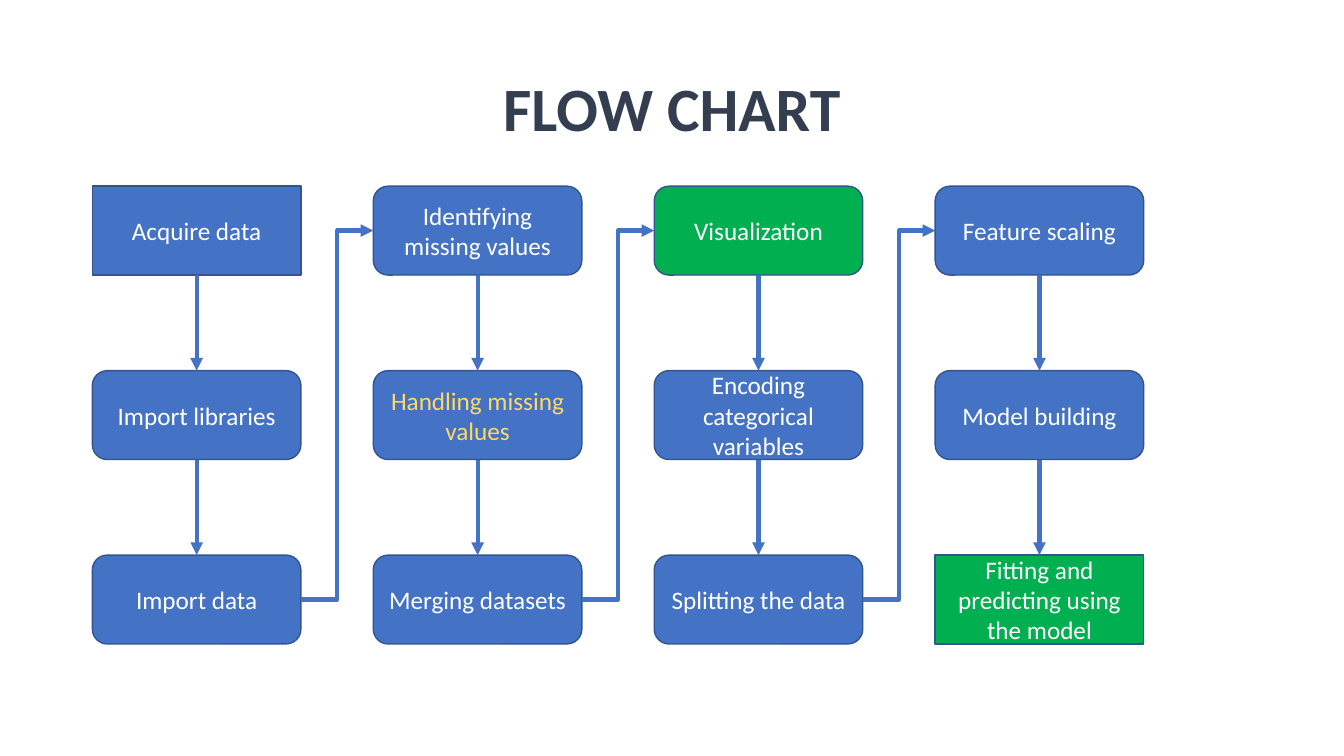
import dataclasses
import itertools

import lxml.etree
import pptx
import pptx.dml.color
import pptx.enum.shapes
import pptx.enum.text
import pptx.oxml.ns
import pptx.util

Pt = pptx.util.Pt
SHAPES = pptx.enum.shapes.MSO_SHAPE
CONNECTORS = pptx.enum.shapes.MSO_CONNECTOR
TOP_SITE, LEFT_SITE, BOTTOM_SITE, RIGHT_SITE = range(4)


@dataclasses.dataclass(frozen=True)
class Theme:
    """Colours, font and sizes in points."""
    font: str = "Calibri"
    heading: str = "333F50"
    step: str = "4472C4"
    milestone: str = "00B050"
    border: str = "325491"
    label: str = "FFFFFF"
    highlight: str = "FFD966"
    title_size: float = 44
    step_size: float = 18
    border_width: float = 1
    arrow_width: float = 3


@dataclasses.dataclass(frozen=True)
class Box:
    """A region in points."""
    left: float
    top: float
    width: float
    height: float

    def lengths(self):
        """Return the four values as slide lengths."""
        return [Pt(value) for value in dataclasses.astuple(self)]


THEME = Theme()
STAGES = [
    ["Acquire data", "Import libraries", "Import data"],
    ["Identifying missing values", "Handling missing values", "Merging datasets"],
    ["Visualization", "Encoding categorical variables", "Splitting the data"],
    ["Feature scaling", "Model building", "Fitting and predicting using the model"],
]
ENDPOINTS = {STAGES[0][0], STAGES[-1][-1]}
MILESTONES = {"Visualization", STAGES[-1][-1]}
HIGHLIGHTED = {"Handling missing values"}


def rgb(value):
    """Turn a hex string into a colour."""
    return pptx.dml.color.RGBColor.from_string(value)


def write(frame, words, size, color, bold=False):
    """Write one centred run into a text frame."""
    frame.word_wrap = True
    frame.vertical_anchor = pptx.enum.text.MSO_ANCHOR.MIDDLE
    paragraph = frame.paragraphs[0]
    paragraph.alignment = pptx.enum.text.PP_ALIGN.CENTER
    run = paragraph.add_run()
    run.text = words
    run.font.name = THEME.font
    run.font.size = Pt(size)
    run.font.bold = bold
    run.font.color.rgb = rgb(color)
    return paragraph


def add_heading(slide, box, words):
    """Place the slide title in its placeholder."""
    heading = slide.shapes.title
    heading.left, heading.top, heading.width, heading.height = box.lengths()
    paragraph = write(heading.text_frame, words, THEME.title_size, THEME.heading, bold=True)
    paragraph.line_spacing = 0.9


def add_step(slide, box, words):
    """Draw one process step; endpoints have square corners."""
    outline = (SHAPES.FLOWCHART_PROCESS if words in ENDPOINTS
               else SHAPES.FLOWCHART_ALTERNATE_PROCESS)
    step = slide.shapes.add_shape(outline, *box.lengths())
    step.shadow.inherit = False
    step.fill.solid()
    step.fill.fore_color.rgb = rgb(THEME.milestone if words in MILESTONES else THEME.step)
    step.line.color.rgb = rgb(THEME.border)
    step.line.width = Pt(THEME.border_width)
    write(step.text_frame, words, THEME.step_size,
          THEME.highlight if words in HIGHLIGHTED else THEME.label)
    return step


def add_arrow(slide, kind, source, source_site, target, target_site):
    """Join two steps with an arrow glued to their connection sites."""
    arrow = slide.shapes.add_connector(kind, 0, 0, 0, 0)
    arrow.begin_connect(source, source_site)
    arrow.end_connect(target, target_site)
    arrow.line.color.rgb = rgb(THEME.step)
    arrow.line.width = Pt(THEME.arrow_width)
    properties = arrow._element.spPr
    qn = pptx.oxml.ns.qn
    lxml.etree.SubElement(properties.find(qn("a:ln")), qn("a:tailEnd"), type="triangle")
    lxml.etree.SubElement(properties, qn("a:effectLst"))


def add_flow(slide, box, stages, step_width, step_height):
    """Spread the stages over the box as columns and join all steps in order."""
    column_pitch = (box.width - step_width) / (len(stages) - 1)
    row_pitch = (box.height - step_height) / (len(stages[0]) - 1)
    columns = [
        [add_step(slide, Box(box.left + column * column_pitch, box.top + row * row_pitch,
                             step_width, step_height), words)
         for row, words in enumerate(stage)]
        for column, stage in enumerate(stages)
    ]
    for steps in columns:
        for upper, lower in itertools.pairwise(steps):
            add_arrow(slide, CONNECTORS.STRAIGHT, upper, BOTTOM_SITE, lower, TOP_SITE)
    for current, following in itertools.pairwise(columns):
        add_arrow(slide, CONNECTORS.ELBOW, current[-1], RIGHT_SITE, following[0], LEFT_SITE)


def build_flow_slide(deck):
    """Build the flow chart slide."""
    slide = deck.slides.add_slide(deck.slide_layouts[5])
    add_heading(slide, Box(66, 27.5, 828, 104.5), "FLOW CHART")
    add_flow(slide, Box(66, 133, 751, 327), STAGES, step_width=149, step_height=63.5)


deck = pptx.Presentation()
deck.slide_width, deck.slide_height = Pt(960), Pt(540)
build_flow_slide(deck)
deck.save("out.pptx")
